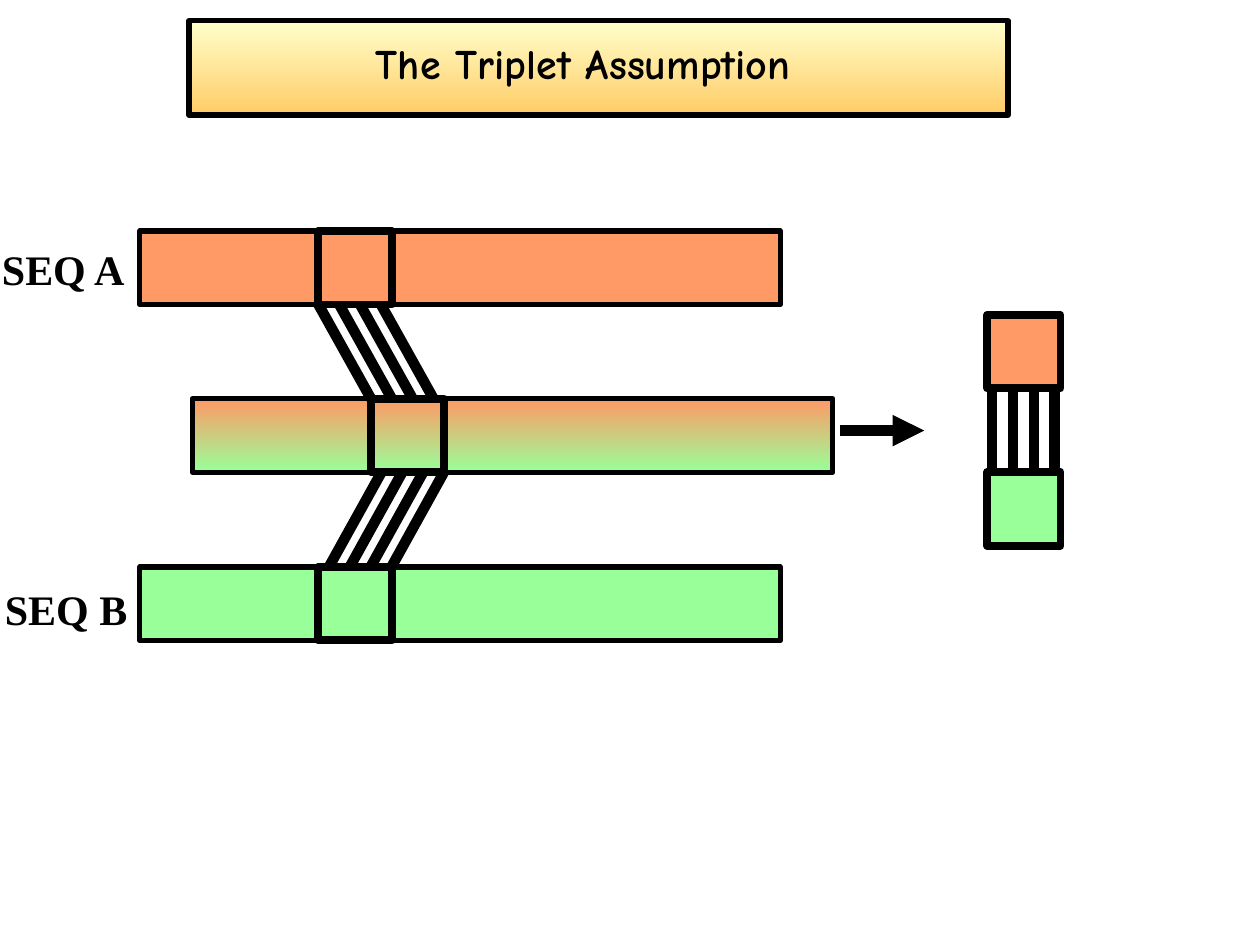
import pptx
import pptx.util
import pptx.dml.color
import pptx.enum.shapes
import pptx.enum.text
import pptx.oxml.ns
import lxml.etree

Cm, Pt = pptx.util.Cm, pptx.util.Pt
rgb = pptx.dml.color.RGBColor.from_string
qn = pptx.oxml.ns.qn
Align = pptx.enum.text.PP_ALIGN

theme = {
    "ink": "000000", "top": "FF9966", "low": "99FF99",
    "head": ("FFFFCC", "FFCC66"), "blend": ("FF9966", "99FF99"),
    "title": {"name": "Comic Neue", "size": Pt(24), "bold": True},
    "label": {"name": "Times New Roman", "size": Pt(24), "bold": True},
    "thin": 3, "mid": 4.5, "thick": 6,
}

deck = pptx.Presentation()
deck.slide_width, deck.slide_height = Cm(25.4), Cm(19.05)
slide = deck.slides.add_slide(deck.slide_layouts[6])
shapes = slide.shapes


def box(x, y, w, h, paint, edge):
    """Outlined rectangle; a pair of colours gives a downward gradient."""
    rect = shapes.add_shape(pptx.enum.shapes.MSO_SHAPE.RECTANGLE,
                            Cm(x), Cm(y), Cm(w), Cm(h))
    rect.shadow.inherit = False
    if isinstance(paint, tuple):
        rect.fill.gradient()
        rect.fill.gradient_angle = 270
        for stop, tone, place in zip(rect.fill.gradient_stops, paint, (0, 1)):
            stop.color.rgb = rgb(tone)
            stop.position = place
    else:
        rect.fill.solid()
        rect.fill.fore_color.rgb = rgb(paint)
    rect.line.color.rgb = rgb(theme["ink"])
    rect.line.width = Pt(edge)


def link(x1, y1, x2, y2):
    """Thick straight line without a shadow."""
    line = shapes.add_connector(pptx.enum.shapes.MSO_CONNECTOR.STRAIGHT,
                                Cm(x1), Cm(y1), Cm(x2), Cm(y2))
    line.line.color.rgb = rgb(theme["ink"])
    line.line.width = Pt(theme["thick"])
    lxml.etree.SubElement(line._element.spPr, qn("a:effectLst"))
    return line


# Title panel
box(3.81, 0.42, 16.51, 1.9, theme["head"], theme["thin"])

# Three sequence bars, each with a marked window
side, left, shift = 1.48, 2.82, 1.06
rows = [4.66, 8.04, 11.43]
paints = [theme["top"], theme["blend"], theme["low"]]
for y, dx, paint in zip(rows, (0, shift, 0), paints):
    box(left + dx, y, 12.91, side, paint, theme["thin"])
    box(left + dx + 3.6, y, side, side, paint, theme["mid"])

# Extracted pair of windows
pair = [6.35, 9.52]
for y, paint in zip(pair, (theme["top"], theme["low"])):
    box(19.9, y, side, side, paint, theme["mid"])

# Four links between each two windows
for n in range(4):
    dx = n * 0.42
    link(6.42 + dx, rows[0] + side, 6.42 + shift + dx, rows[1])
    link(6.63 + shift + dx, rows[1] + side, 6.63 + dx, rows[2])
    link(20 + dx, pair[0] + side, 20 + dx, pair[1])

# Arrow to the pair
arrow = link(16.93, 8.68, 18.63, 8.68)
lxml.etree.SubElement(arrow.line._get_or_add_ln(), qn("a:tailEnd"),
                      type="triangle")

# Title and row labels
texts = [
    ("The Triplet Assumption", 3.18, 0.64, 17.15, "title", Align.CENTER, True),
    ("SEQ A", -0.21, 4.78, 3.02, "label", Align.LEFT, False),
    ("SEQ B", -0.15, 11.64, 2.97, "label", Align.LEFT, False),
]
for words, x, y, w, style, align, wrap in texts:
    frame = shapes.add_textbox(Cm(x), Cm(y), Cm(w), Cm(1.27)).text_frame
    frame.word_wrap = wrap
    frame.auto_size = pptx.enum.text.MSO_AUTO_SIZE.SHAPE_TO_FIT_TEXT
    para = frame.paragraphs[0]
    para.alignment = align
    run = para.add_run()
    run.text = words
    for key, value in theme[style].items():
        setattr(run.font, key, value)
    run.font.color.rgb = rgb(theme["ink"])

deck.save("out.pptx")
